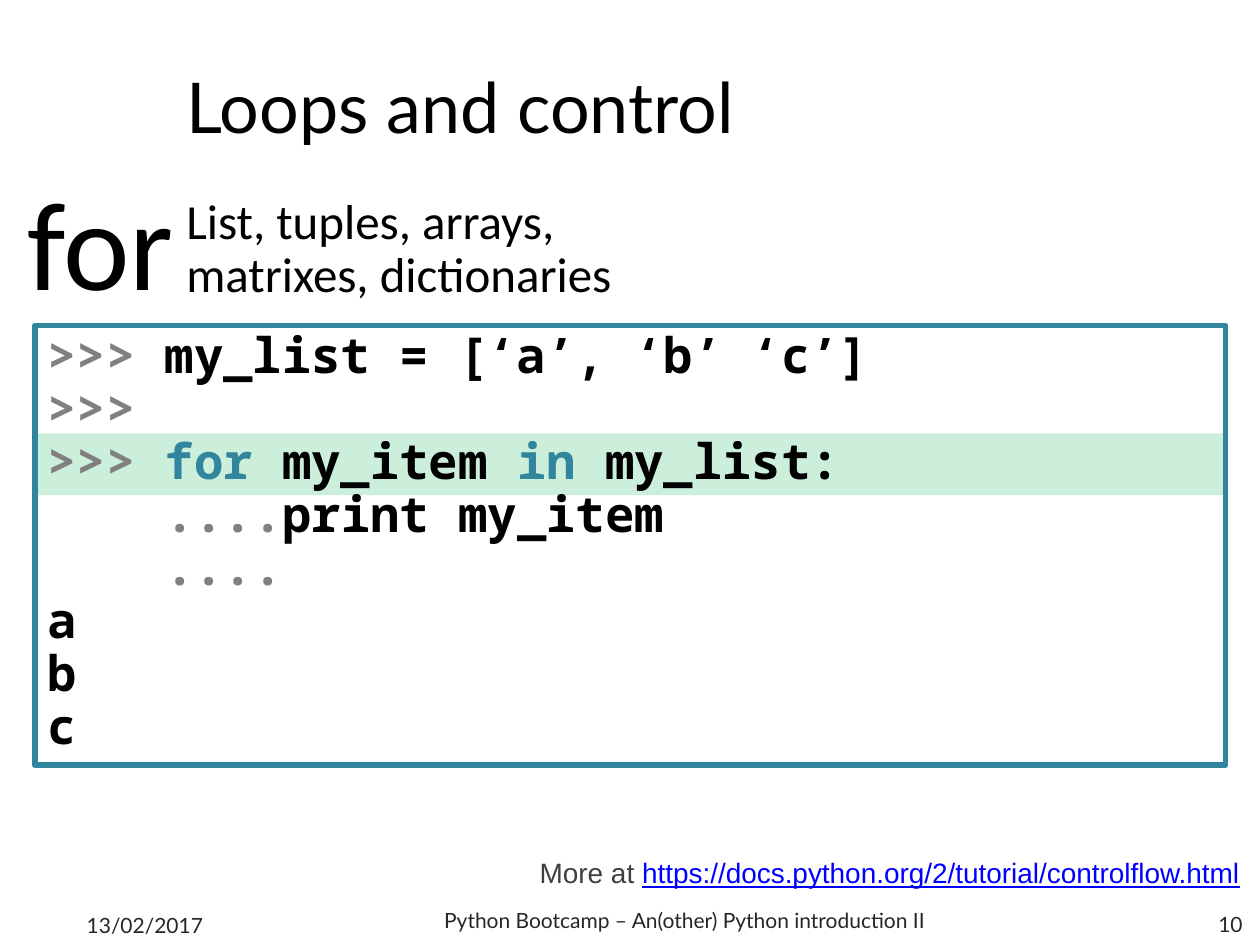
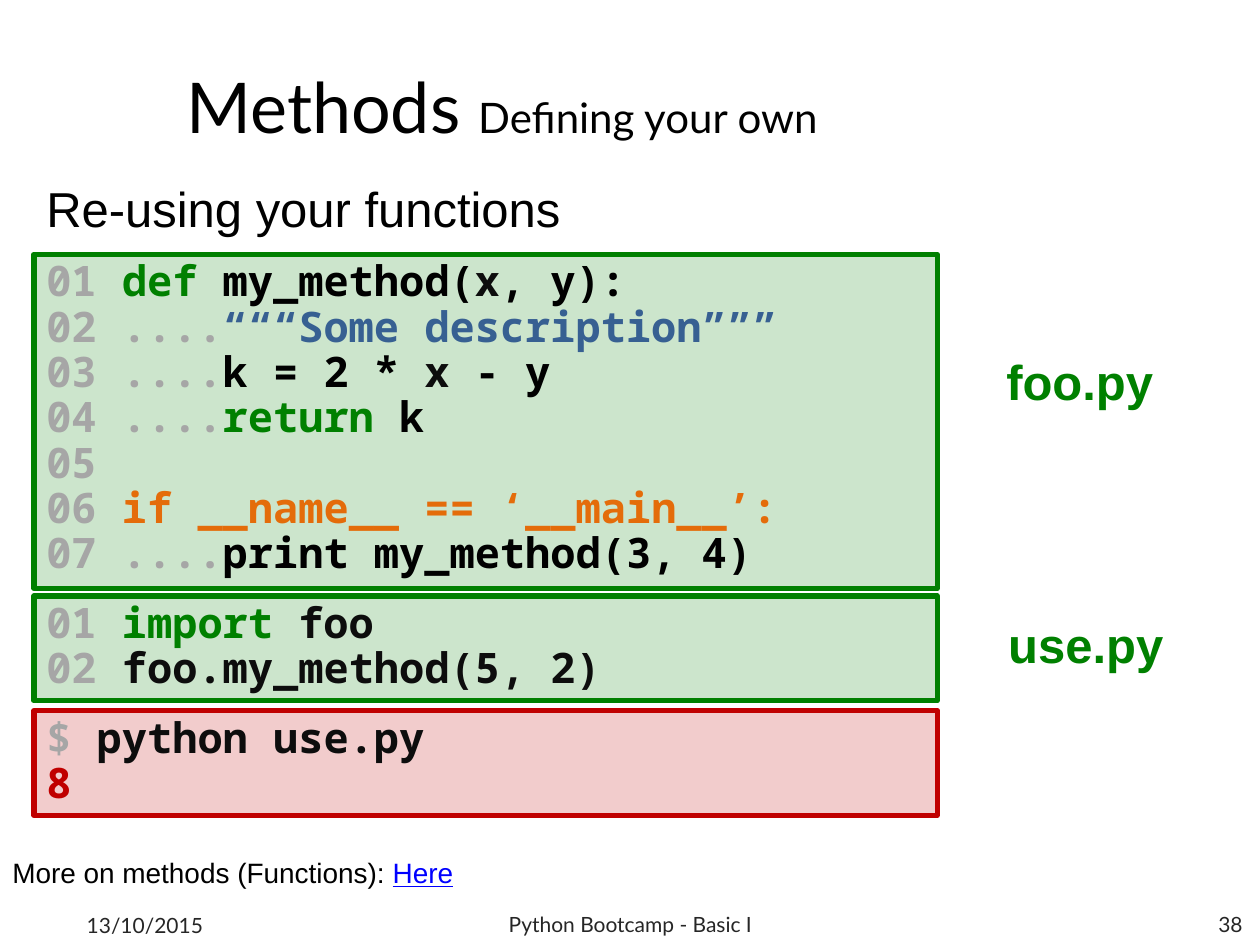
from lxml import etree
from pptx import Presentation
from pptx.dml.color import RGBColor
from pptx.enum import shapes, text
from pptx.oxml import ns
from pptx.util import Pt

COLORS = {
    "black": "000000", "ink": "0D0D0D", "footer": "262626", "note": "404040",
    "prompt": "808080", "number": "A6A6A6", "teal": "31859C", "mint": "00B050",
    "green": "008000", "red": "C00000", "blue": "376092", "orange": "E46C0A",
    "link": "0000FF",
}
MONO, SANS, HEAD, BODY = "Noto Sans Mono", "Arial", "Lato", "Calibri"
LEFT, CENTER, RIGHT = text.PP_ALIGN.LEFT, text.PP_ALIGN.CENTER, text.PP_ALIGN.RIGHT
TOP, MIDDLE, BOTTOM = text.MSO_ANCHOR.TOP, text.MSO_ANCHOR.MIDDLE, text.MSO_ANCHOR.BOTTOM
TITLE_BOX = (99.4, 31.7, 584.6, 56.9)
NOTE_BOX = (0, 485.3, 720, 26.6)
CHAR_WIDTH = 0.6


def rgb(name):
    """Return the named colour."""
    return RGBColor.from_string(COLORS[name])


def write(tf, lines, font, size, bold=None, align=LEFT, anchor=MIDDLE, spacing=None):
    """Fill a text frame with lines of (text, colour[, size]) runs."""
    tf.word_wrap = True
    tf.auto_size = text.MSO_AUTO_SIZE.NONE
    tf.vertical_anchor = anchor
    for i, line in enumerate(lines):
        p = tf.add_paragraph() if i else tf.paragraphs[0]
        p.alignment, p.line_spacing = align, spacing
        for words, color, *own_size in line:
            r = p.add_run()
            r.text = words
            r.font.name, r.font.bold = font, bold
            r.font.size = Pt(own_size[0] if own_size else size)
            r.font.color.rgb = rgb(color)
            if color == "link":
                r.font.underline = True


def add_text(s, box, runs, font, size, **style):
    """Add a one-paragraph text box."""
    sp = s.shapes.add_textbox(*map(Pt, box))
    write(sp.text_frame, [runs], font, size, **style)


def add_box(s, box, fill=None, line=None):
    """Add a rectangle with an optional tint and border."""
    sp = s.shapes.add_shape(shapes.MSO_SHAPE.RECTANGLE, *map(Pt, box))
    sp.shadow.inherit = False
    if fill:
        sp.fill.solid()
        sp.fill.fore_color.rgb = rgb(fill)
        color = sp.fill._xPr.find(".//" + ns.qn("a:srgbClr"))
        etree.SubElement(color, ns.qn("a:alpha")).set("val", "20000")
    else:
        sp.fill.background()
    if line:
        sp.line.color.rgb = rgb(line)
        sp.line.width = Pt(3)
    else:
        sp.line.fill.background()
    return sp


def code_box(s, box, lines, size, line, fill=None, indented=()):
    """Add a bordered listing, indenting some lines by four characters."""
    tf = add_box(s, box, fill, line).text_frame
    write(tf, lines, MONO, size, bold=True, anchor=TOP, spacing=0.9)
    for i in indented:
        pPr = tf.paragraphs[i]._p.get_or_add_pPr()
        pPr.set("marL", str(Pt(4 * CHAR_WIDTH * size)))


def base_slide(prs, title, date, course, course_box, number):
    """Add a slide with its title and footer."""
    s = prs.slides.add_slide(prs.slide_layouts[5])
    sp = s.shapes.title
    sp.left, sp.top, sp.width, sp.height = map(Pt, TITLE_BOX)
    write(sp.text_frame, [title], HEAD, 40)
    for words, box, align in (
        (date, (42.5, 514.1, 167.8, 28.8), LEFT),
        (course, course_box, CENTER),
        (number, (549.4, 513.4, 167.8, 28.8), RIGHT),
    ):
        add_text(s, box, [(words, "footer")], HEAD, 12, align=align)
    return s


def loops_slide(prs):
    """Build the slide on the for loop."""
    s = base_slide(prs, [("Loops and control", "black")], "13/02/2017",
                   "Python Bootcamp – An(other) Python introduction II",
                   (226.8, 511.2, 329, 28.8), "10")
    x, y, w, h = box = (20, 185.8, 680.4, 251.3)
    add_box(s, (x, y + 61.9, w, 35.3), fill="mint")
    code_box(s, box, [
        [(">>> ", "prompt"), ("my_list = [‘a’, ‘b’ ‘c’]", "black")],
        [(">>>", "prompt")],
        [(">>>", "prompt"), (" for ", "teal"), ("my_item ", "black"),
         ("in ", "teal"), ("my_list:", "black")],
        [("....", "prompt"), ("print my_item", "black")],
        [("....", "prompt")],
        *([(letter, "black")] for letter in "abc"),
    ], 28, "teal", indented=(3, 4))
    add_text(s, (8.6, 100.1, 334.1, 85.7), [("for", "black")], BODY, 72, spacing=0.9)
    add_text(s, (99.4, 108.7, 334.1, 68.4),
             [("List, tuples, arrays, matrixes, dictionaries", "black")],
             BODY, 28, spacing=0.9)
    add_text(s, NOTE_BOX, [
        ("More at ", "note"),
        ("https://docs.python.org/2/tutorial/controlflow.html", "link"),
        (" ", "note"),
    ], SANS, 16, align=RIGHT, anchor=BOTTOM)


def methods_slide(prs):
    """Build the slide on re-using functions."""
    s = base_slide(prs, [("Methods ", "black"), ("Defining your own", "black", 24)],
                   "13/10/2015", "Python Bootcamp - Basic I",
                   (246.2, 513.4, 228.2, 28.8), "38")
    x, w = 19.4, 516.2
    add_text(s, (x, 98.6, w, 41), [("Re-using your functions", "black")],
             SANS, 28, anchor=TOP)
    foo = [
        [("def ", "green"), ("my_method(", "black"), ("x", "ink"), (", y):", "black")],
        [("....", "number"), ("“““Some description”””", "blue")],
        [("....", "number"), ("k = 2 * ", "black"), ("x", "ink"), (" - y", "black")],
        [("....", "number"), ("return ", "green"), ("k", "black")],
        [],
        [("if __name__ == ‘__main__’:", "orange")],
        [("....", "number"), ("print my_method(3, 4)", "black")],
    ]
    use = [
        [("import ", "green"), ("foo", "ink")],
        [("foo.my_method(5, 2)", "ink")],
    ]
    for top, height, lines in ((145.4, 190.8, foo), (340.6, 59.8, use)):
        numbered = [[(f"{i:02} " if runs else f"{i:02}", "number"), *runs]
                    for i, runs in enumerate(lines, 1)]
        code_box(s, (x, top, w, height), numbered, 24, "green", "green")
    code_box(s, (x, 406.1, w, 59.8),
             [[("$ ", "number"), ("python use.py", "ink")], [("8", "red")]],
             24, "red", "red")
    for name, left, top in (("foo.py", 127.4, 197.3), ("use.py", 133.2, 347.8)):
        add_text(s, (left, top, 538.6, 41), [(name, "green")], SANS, 28,
                 bold=True, align=RIGHT, anchor=TOP)
    add_text(s, NOTE_BOX, [("More on methods (Functions): ", "black"), ("Here", "link")],
             SANS, 16, anchor=TOP)


def main():
    """Build and save the presentation."""
    prs = Presentation()
    prs.slide_width, prs.slide_height = Pt(720), Pt(540)
    loops_slide(prs)
    methods_slide(prs)
    prs.save("out.pptx")


if __name__ == "__main__":
    main()
